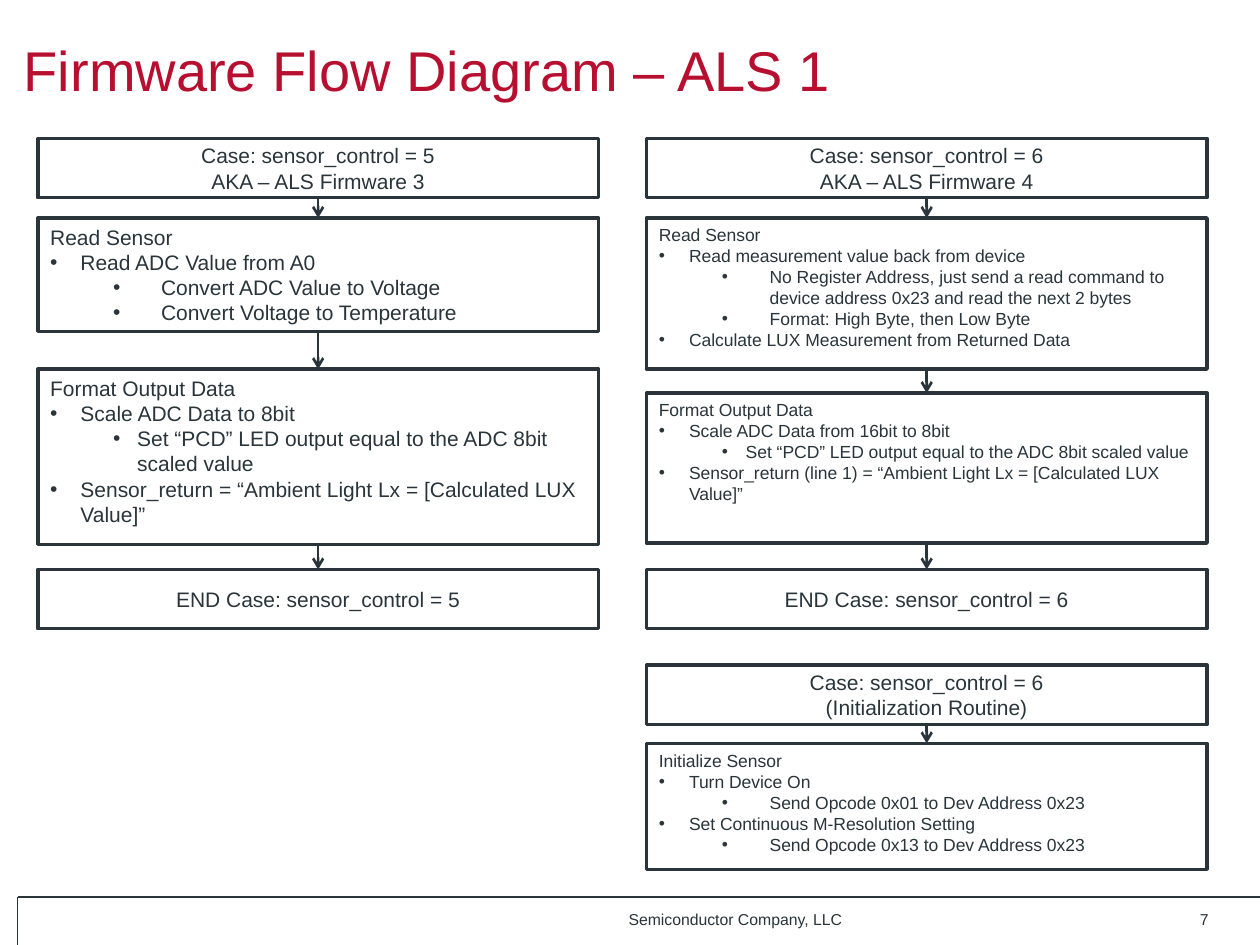
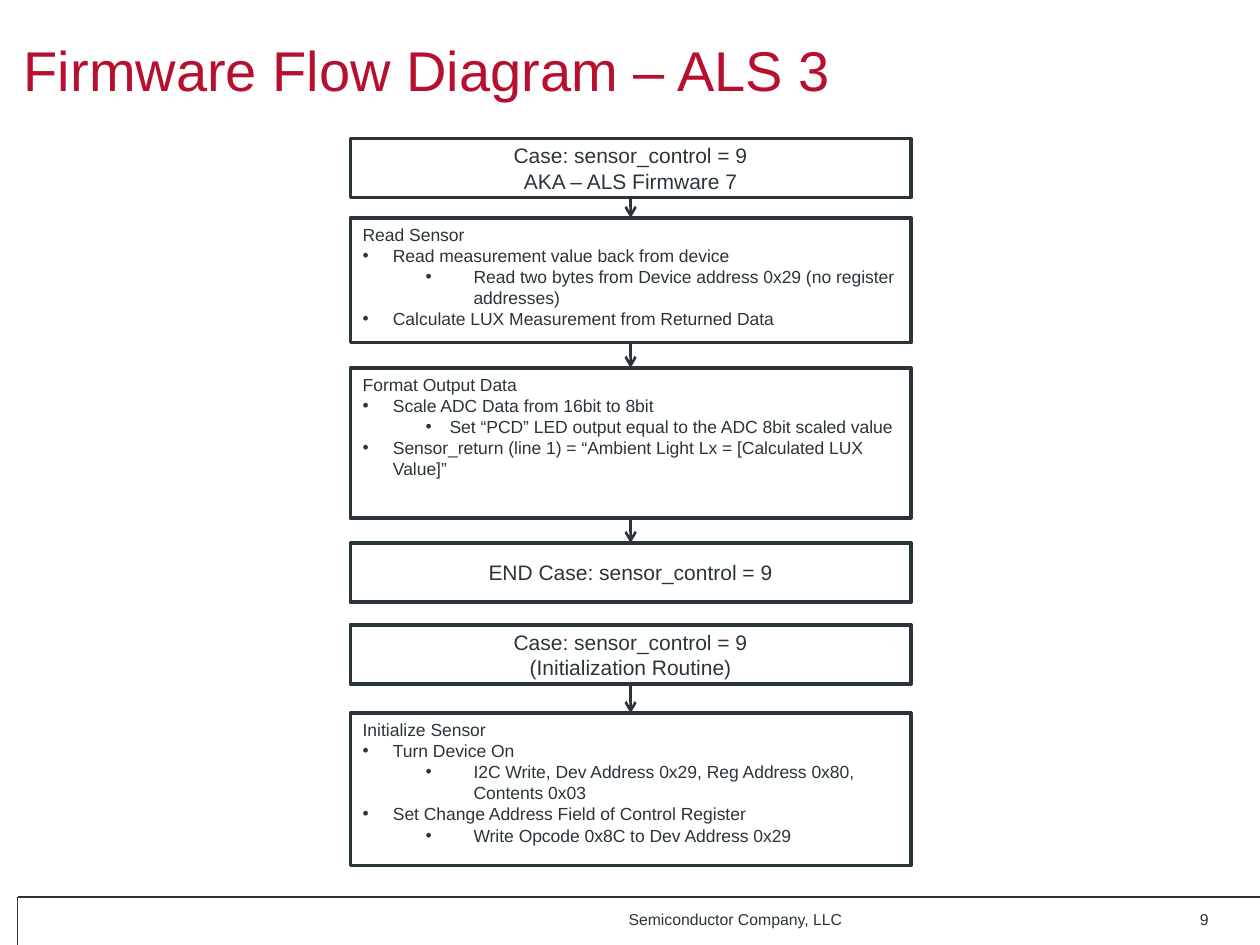
import lxml.etree
import pptx
import pptx.dml.color
import pptx.enum.shapes
import pptx.enum.text
import pptx.oxml.ns
import pptx.util
from pptx.util import Inches

COLORS = {"title": "B70F2F", "ink": "29353A", "paper": "FFFFFF"}
FONT = "Arial"
BOX_WIDTH = 4.45
CAPTION_HEIGHT = 0.47
# Left margin and first-line indent of each kind of line, in inches
INDENTS = {
    "heading": (0, 0),
    "point": (0.24, -0.24),
    "detail": (0.88, -0.38),
    "note": (0.69, -0.19),
}
ALIGN = pptx.enum.text.PP_ALIGN
ANCHOR = pptx.enum.text.MSO_ANCHOR

LED_NOTE = ("note", "Set “PCD” LED output equal to the ADC 8bit scaled value")
FORMAT_16BIT = [
    ("heading", "Format Output Data"),
    ("point", "Scale ADC Data from 16bit to 8bit"),
    LED_NOTE,
    ("point", "Sensor_return (line 1) = “Ambient Light Lx = [Calculated LUX Value]”"),
]
READ_DEVICE = [
    ("heading", "Read Sensor"),
    ("point", "Read measurement value back from device"),
]
CALCULATE_LUX = ("point", "Calculate LUX Measurement from Returned Data")


def rgb(name):
    return pptx.dml.color.RGBColor.from_string(COLORS[name])


def add_xml(parent, tag, **attributes):
    name = pptx.oxml.ns.qn(tag)
    return lxml.etree.SubElement(parent, name, attributes)


def format_paragraph(para, size, color="ink", align=ALIGN.LEFT):
    para.alignment = align
    for span in para.runs:
        span.font.name = FONT
        span.font.size = pptx.util.Pt(size)
        span.font.color.rgb = rgb(color)


def add_bullet(para, kind):
    margin, indent = INDENTS[kind]
    properties = para._p.get_or_add_pPr()
    properties.set("marL", str(Inches(margin)))
    properties.set("indent", str(Inches(indent)))
    color = add_xml(properties, "a:buClr")
    add_xml(color, "a:srgbClr", val=COLORS["ink"])
    add_xml(properties, "a:buFont", typeface=FONT)
    add_xml(properties, "a:buChar", char="•")


def add_label(slide, area, text, size, color="ink", align=ALIGN.LEFT,
              anchor=ANCHOR.TOP):
    box = slide.shapes.add_textbox(*map(Inches, area))
    frame = box.text_frame
    frame.word_wrap = True
    frame.vertical_anchor = anchor
    frame.text = text
    format_paragraph(frame.paragraphs[0], size, color, align)


def add_line(slide, start, end, width):
    line = slide.shapes.add_connector(
        pptx.enum.shapes.MSO_CONNECTOR.STRAIGHT, *map(Inches, start + end))
    line.line.color.rgb = rgb("ink")
    line.line.width = pptx.util.Pt(width)
    add_xml(line._element.spPr, "a:effectLst")
    return line


def add_arrow(slide, upper, lower):
    """Join the bottom of the upper box to the top of the lower one."""
    arrow = add_line(slide, (0, 0), (0, 0), 1.5)
    arrow.begin_connect(upper, 2)
    arrow.end_connect(lower, 0)
    add_xml(arrow.line._get_or_add_ln(), "a:tailEnd", type="arrow")


def add_box(slide, left, top, height):
    box = slide.shapes.add_shape(
        pptx.enum.shapes.MSO_SHAPE.RECTANGLE,
        *map(Inches, (left, top, BOX_WIDTH, height)))
    box.shadow.inherit = False
    box.fill.solid()
    box.fill.fore_color.rgb = rgb("paper")
    box.line.color.rgb = rgb("ink")
    box.line.width = pptx.util.Pt(2)
    box.text_frame.word_wrap = True
    return box


def add_caption_box(slide, left, top, text):
    box = add_box(slide, left, top, CAPTION_HEIGHT)
    box.text_frame.vertical_anchor = ANCHOR.MIDDLE
    box.text_frame.text = text
    for para in box.text_frame.paragraphs:
        format_paragraph(para, 12, align=ALIGN.CENTER)
    return box


def add_step_box(slide, left, top, height, lines, size=10):
    """Draw a box with a heading and bulleted lines, given as (kind, text)."""
    box = add_box(slide, left, top, height)
    frame = box.text_frame
    frame.vertical_anchor = ANCHOR.TOP
    frame.text = "\n".join(text for _, text in lines)
    for para, (kind, _) in zip(frame.paragraphs, lines):
        format_paragraph(para, size)
        if kind != "heading":
            add_bullet(para, kind)
    return box


def connect_in_order(slide, boxes):
    for upper, lower in zip(boxes, boxes[1:]):
        add_arrow(slide, upper, lower)


def add_case_flow(slide, left, case, firmware, steps, end_top, size=10):
    """Draw one case from its caption to its end; steps are (top, height, lines)."""
    boxes = [add_caption_box(
        slide, left, 1.1,
        f"Case: sensor_control = {case}\nAKA – ALS Firmware {firmware}")]
    for top, height, lines in steps:
        boxes.append(add_step_box(slide, left, top, height, lines, size))
    boxes.append(add_caption_box(
        slide, left, end_top, f"END Case: sensor_control = {case}"))
    connect_in_order(slide, boxes)


def add_initialization(slide, left, case, top, step):
    caption = add_caption_box(
        slide, left, top,
        f"Case: sensor_control = {case}\n(Initialization Routine)")
    connect_in_order(slide, [caption, add_step_box(slide, left, *step)])


def add_page(deck, title, number):
    slide = deck.slides.add_slide(deck.slide_layouts[6])
    add_line(slide, (0.14, 7.12), (10, 7.12), 0.75)
    add_line(slide, (0.14, 7.12), (0.14, 7.5), 0.75)
    add_label(slide, (0.09, 0, 8.85, 1.09), title, 32, "title",
              anchor=ANCHOR.MIDDLE)
    add_label(slide, (4.89, 7.17, 2.22, 0.33),
              "Semiconductor Company, LLC", 9)
    add_label(slide, (8.77, 7.17, 0.92, 0.33), str(number), 9,
              align=ALIGN.RIGHT)
    return slide


def build_als_1(deck):
    slide = add_page(deck, "Firmware Flow Diagram – ALS 1", 7)
    add_case_flow(slide, 0.3, 5, 3, [
        (1.73, 0.9, [
            ("heading", "Read Sensor"),
            ("point", "Read ADC Value from A0"),
            ("detail", "Convert ADC Value to Voltage"),
            ("detail", "Convert Voltage to Temperature"),
        ]),
        (2.93, 1.39, [
            ("heading", "Format Output Data"),
            ("point", "Scale ADC Data to 8bit"),
            LED_NOTE,
            ("point", "Sensor_return = “Ambient Light Lx = [Calculated LUX Value]”"),
        ]),
    ], end_top=4.52, size=12)
    right = 5.13
    add_case_flow(slide, right, 6, 4, [
        (1.73, 1.2, READ_DEVICE + [
            ("detail", "No Register Address, just send a read command to "
                       "device address 0x23 and read the next 2 bytes"),
            ("detail", "Format: High Byte, then Low Byte"),
            CALCULATE_LUX,
        ]),
        (3.12, 1.19, FORMAT_16BIT),
    ], end_top=4.52)
    add_initialization(slide, right, 6, 5.28, (5.9, 1, [
        ("heading", "Initialize Sensor"),
        ("point", "Turn Device On"),
        ("detail", "Send Opcode 0x01 to Dev Address 0x23"),
        ("point", "Set Continuous M-Resolution Setting"),
        ("detail", "Send Opcode 0x13 to Dev Address 0x23"),
    ]))


def build_als_3(deck):
    slide = add_page(deck, "Firmware Flow Diagram – ALS 3", 9)
    center = 2.78
    add_case_flow(slide, center, 9, 7, [
        (1.73, 0.99, READ_DEVICE + [
            ("detail", "Read two bytes from Device address 0x29 "
                       "(no register addresses)"),
            CALCULATE_LUX,
        ]),
        (2.92, 1.19, FORMAT_16BIT),
    ], end_top=4.31)
    add_initialization(slide, center, 9, 4.96, (5.66, 1.21, [
        ("heading", "Initialize Sensor"),
        ("point", "Turn Device On"),
        ("detail", "I2C Write, Dev Address 0x29, Reg Address 0x80, Contents 0x03"),
        ("point", "Set Change Address Field of Control Register"),
        ("detail", "Write Opcode 0x8C to Dev Address 0x29"),
    ]))


def main():
    deck = pptx.Presentation()
    deck.slide_width = Inches(10)
    deck.slide_height = Inches(7.5)
    build_als_1(deck)
    build_als_3(deck)
    deck.save("out.pptx")


if __name__ == "__main__":
    main()
